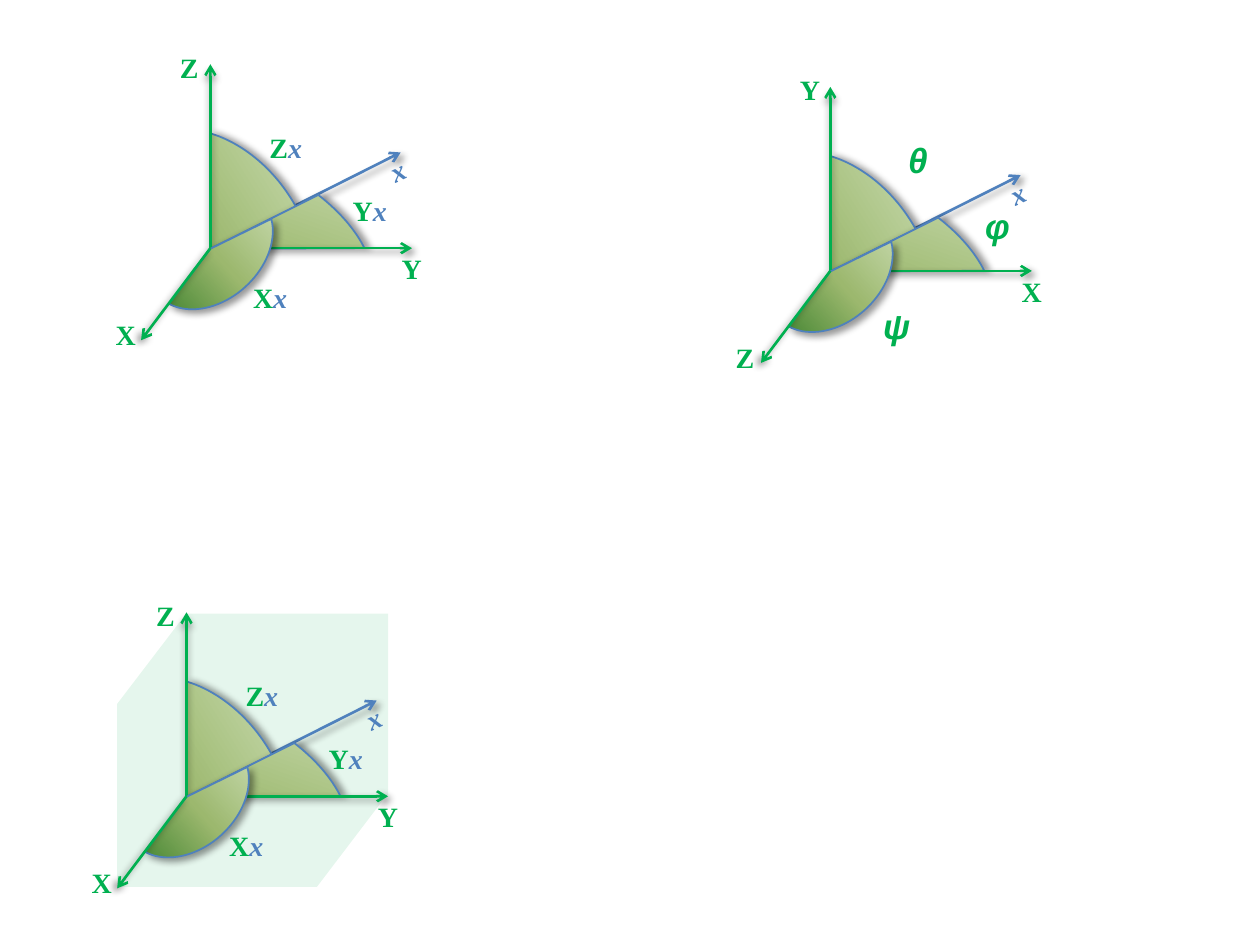
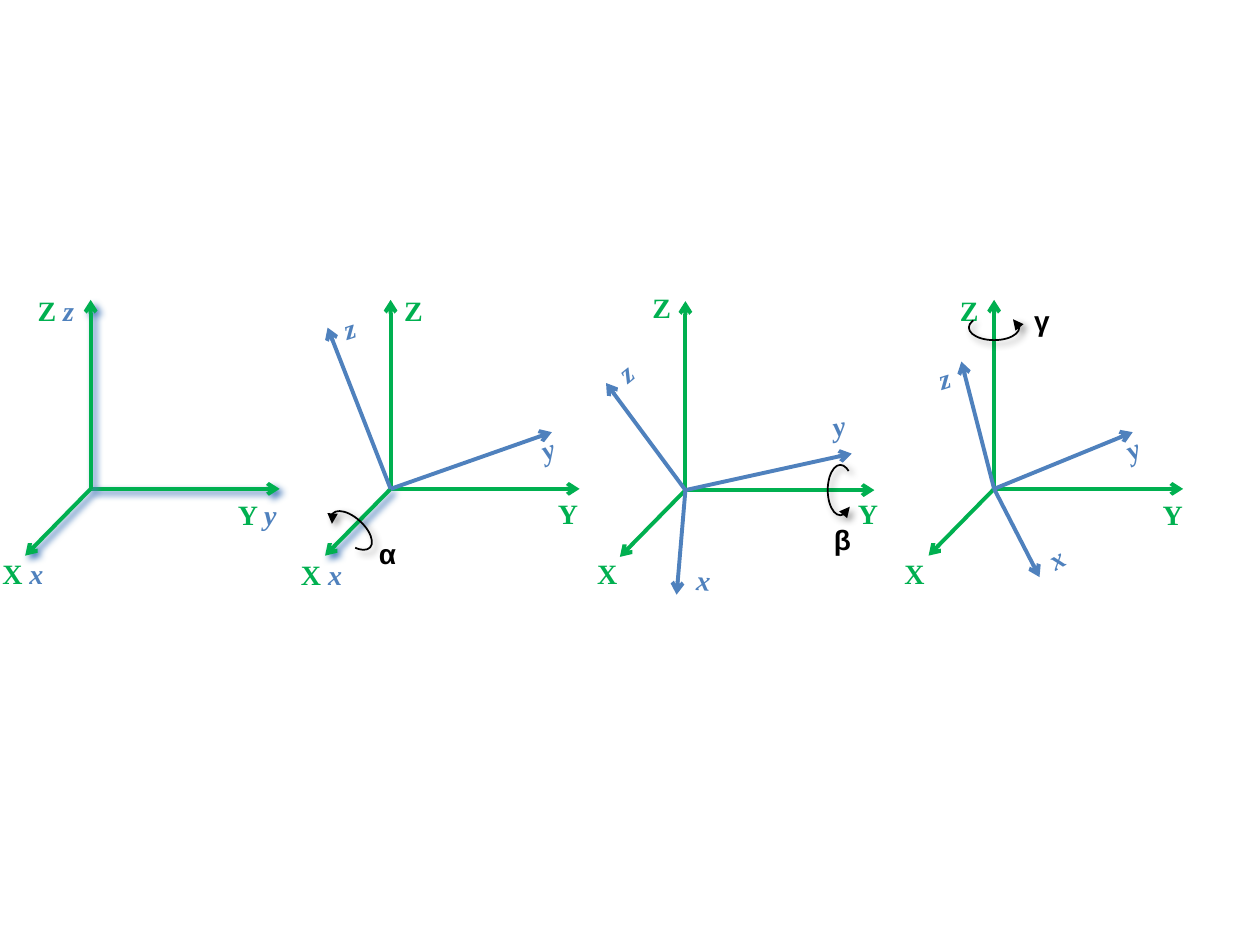
from dataclasses import dataclass
from typing import Optional
import copy

import lxml.etree
import pptx
import pptx.dml.color
import pptx.enum.shapes
import pptx.enum.text
import pptx.oxml.ns
import pptx.shapes.base
import pptx.slide
import pptx.util

PX = 9144  # EMU in one px, 100 px to the inch
RGB = pptx.dml.color.RGBColor
GREEN = RGB(0x00, 0xB0, 0x50)
BLUE = RGB(0x4F, 0x81, 0xBD)
BLACK = RGB(0x00, 0x00, 0x00)
SECTOR_STOPS = (
    (0, RGB(0xDD, 0xEB, 0xCF)),
    (0.5, RGB(0x9C, 0xB8, 0x6E)),
    (1, RGB(0x15, 0x6B, 0x13)),
)
PRESET = pptx.enum.shapes.MSO_SHAPE
qn = pptx.oxml.ns.qn
Point = tuple[int, int]


@dataclass(frozen=True)
class Style:
    font: str
    size: int
    color: RGB
    italic: bool = False


FIXED = Style("Times New Roman", 16, GREEN)
MOVING = Style("Times New Roman", 16, BLUE, True)
ANGLE = Style("Arial", 20, GREEN, True)
TURN = Style("Arial", 16, BLACK)


@dataclass(frozen=True)
class Shadow:
    direction: int
    color: RGB = BLACK
    alpha: int = 40


GLOW = Shadow(45, BLUE, 100)


@dataclass(frozen=True)
class Label:
    left: int
    top: int
    width: int
    spans: tuple[tuple[str, Style], ...]
    rotation: float = 0


@dataclass(frozen=True)
class Outline:
    """A preset shape placed by its unrotated box."""
    preset: PRESET
    left: int
    top: int
    width: int
    height: int
    adjustments: tuple[float, ...]
    rotation: float = 0
    flipped: bool = False


@dataclass(frozen=True)
class Sector:
    outline: Outline
    gradient_angle: int
    shadow: Shadow


@dataclass(frozen=True)
class CosineFrame:
    """Axes with the direction angles of one vector."""
    origin: Point
    axis_names: tuple[str, str, str]  # up, right, towards the viewer
    angle_labels: tuple[Label, ...]
    planes: tuple[Outline, ...] = ()


@dataclass(frozen=True)
class TurnedFrame:
    """Fixed axes and the axes turned away from them."""
    origin: Point
    moving_tips: tuple[Point, ...]
    labels: tuple[Label, ...]
    arc: Optional[Outline] = None
    glowing_axes: tuple[int, ...] = ()


def fixed(left: int, top: int, name: str) -> Label:
    return Label(left, top, 36, ((name, FIXED),))


def moving(left: int, top: int, name: str, rotation: float) -> Label:
    return Label(left, top, 30, ((name, MOVING),), rotation)


def paired(left: int, top: int, width: int, upper: str, lower: str) -> Label:
    return Label(left, top, width, ((upper, FIXED), (lower, MOVING)))


def sign(left: int, top: int, width: int, letter: str, style: Style) -> Label:
    return Label(left, top, width, ((letter, style),))


SECTORS = (
    Sector(Outline(PRESET.PIE, -102, -75, 204, 151, (19.37, 57.55), 237.6),
           90, Shadow(0)),
    Sector(Outline(PRESET.PIE, -79, -134, 158, 269, (26.55, 42.31), 289.2),
           180, Shadow(0)),
)
NEAR_SECTOR = Sector(
    Outline(PRESET.PIE, -41, -55, 82, 111, (171.53, 47.46), 48),
    270, Shadow(45))
PLANES = (
    Outline(PRESET.PARALLELOGRAM, 0, -145, 160, 144, (0,)),
    Outline(PRESET.PARALLELOGRAM, -55, -1, 214, 73, (0.76,)),
    Outline(PRESET.PARALLELOGRAM, -136, -63, 216, 54, (1.31,), 270, True),
)
AXIS_NAME_SPOTS = ((-34, -162), (142, -2), (-85, 50))
NAMED_ANGLES = (
    paired(37, -98, 48, "Z", "x"),
    paired(24, 21, 48, "X", "x"),
    paired(103, -48, 48, "Y", "x"),
)
GREEK_ANGLES = (
    sign(52, -110, 35, "θ", ANGLE),
    sign(113, -58, 35, "φ", ANGLE),
    sign(32, 22, 39, "ψ", ANGLE),
)
COSINE_FRAMES = (
    CosineFrame((148, 632), ("Z", "Y", "X"), NAMED_ANGLES, PLANES),
    CosineFrame((167, 197), ("Z", "Y", "X"), NAMED_ANGLES),
    CosineFrame((659, 215), ("Y", "X", "Z"), GREEK_ANGLES),
)

FIXED_AXES = ((150, 0), (0, -150), (-52, 53))
TURNED_FRAMES = (
    TurnedFrame(
        (72, 388), (),
        (paired(-8, 437, 53, "X ", "x"), paired(20, 228, 49, "Z ", "z"),
         paired(179, 390, 52, "Y ", "y")),
        glowing_axes=(0, 1, 2)),
    TurnedFrame(
        (310, 388), ((260, 260), (438, 343)),
        (fixed(433, 389, "Y"), fixed(311, 228, "Z"),
         paired(229, 438, 53, "X ", "x"), moving(263, 242, "z", 342),
         moving(420, 338, "y", 340), sign(291, 421, 34, "α", TURN)),
        Outline(PRESET.ARC, 259, 411, 40, 20, (93.7, 21.36), 42.5),
        glowing_axes=(2,)),
    TurnedFrame(
        (544, 389), ((676, 360), (481, 304), (537, 472)),
        (fixed(508, 226, "Z"), fixed(671, 389, "Y"), fixed(464, 437, "X"),
         moving(482, 277, "z", 320.6), moving(543, 442, "x", 3.7),
         moving(651, 319, "y", 349.6), sign(652, 410, 32, "β", TURN)),
        Outline(PRESET.ARC, 657, 369, 20, 40, (36.26, 176.03))),
    TurnedFrame(
        (789, 388), ((899, 343), (763, 287), (825, 458)),
        (fixed(752, 228, "Z"), fixed(913, 390, "Y"), fixed(708, 437, "X"),
         moving(884, 338, "y", 335.7), moving(735, 282, "z", 342.5),
         moving(823, 425, "x", 329.9), sign(811, 236, 29, "γ", TURN)),
        Outline(PRESET.ARC, 769, 250, 40, 20, (201.77, 119.34))),
)


def set_shadow(shape: pptx.shapes.base.BaseShape,
               shadow: Optional[Shadow]) -> None:
    """Replace the theme shadow; call after the line has been set."""
    effects = lxml.etree.SubElement(shape.element.spPr, qn("a:effectLst"))
    if shadow is None:
        return
    outer = lxml.etree.SubElement(
        effects, qn("a:outerShdw"), blurRad=str(pptx.util.Pt(4)),
        dist=str(pptx.util.Pt(3)), dir=str(shadow.direction * 60000),
        algn="ctr", rotWithShape="0")
    color = lxml.etree.SubElement(
        outer, qn("a:srgbClr"), val=str(shadow.color))
    lxml.etree.SubElement(color, qn("a:alpha"), val=str(shadow.alpha * 1000))


def set_line(shape: pptx.shapes.base.BaseShape, color: RGB, width: float,
             end: str = "", arrowhead: str = "") -> None:
    shape.line.color.rgb = color
    shape.line.width = pptx.util.Pt(width)
    if end:
        line = shape.element.spPr.find(qn("a:ln"))
        lxml.etree.SubElement(line, qn(f"a:{end}"), type=arrowhead)


def add_arrow(page: pptx.slide.Slide, start: Point, tip: Point, color: RGB,
              width: float, shadow: Optional[Shadow] = None) -> None:
    arrow = page.shapes.add_connector(
        pptx.enum.shapes.MSO_CONNECTOR.STRAIGHT,
        *(value * PX for value in start + tip))
    set_line(arrow, color, width, "tailEnd", "arrow")
    set_shadow(arrow, shadow)


def add_label(page: pptx.slide.Slide, label: Label,
              origin: Point = (0, 0)) -> None:
    height = 44 if label.spans[0][1].size == 20 else 37
    box = page.shapes.add_textbox(
        (origin[0] + label.left) * PX, (origin[1] + label.top) * PX,
        label.width * PX, height * PX)
    box.rotation = label.rotation
    box.text_frame.word_wrap = False
    box.text_frame.auto_size = pptx.enum.text.MSO_AUTO_SIZE.SHAPE_TO_FIT_TEXT
    para = box.text_frame.paragraphs[0]
    for text, style in label.spans:
        span = para.add_run()
        span.text = text
        span.font.name = style.font
        span.font.size = pptx.util.Pt(style.size)
        span.font.bold = True
        span.font.italic = style.italic
        span.font.color.rgb = style.color


def add_outline(page: pptx.slide.Slide, outline: Outline,
                origin: Point = (0, 0)) -> pptx.shapes.base.BaseShape:
    shape = page.shapes.add_shape(
        outline.preset, (origin[0] + outline.left) * PX,
        (origin[1] + outline.top) * PX,
        outline.width * PX, outline.height * PX)
    for index, value in enumerate(outline.adjustments):
        shape.adjustments[index] = value
    shape.rotation = outline.rotation
    if outline.flipped:
        shape.element.spPr.xfrm.set("flipH", "1")
    return shape


def add_plane(page: pptx.slide.Slide, plane: Outline, origin: Point) -> None:
    shape = add_outline(page, plane, origin)
    shape.fill.solid()
    shape.fill.fore_color.rgb = GREEN
    color = shape.element.spPr.find(qn("a:solidFill"))[0]
    lxml.etree.SubElement(color, qn("a:alpha"), val="10000")
    shape.line.fill.background()
    set_shadow(shape, None)


def add_sector(page: pptx.slide.Slide, sector: Sector, origin: Point) -> None:
    shape = add_outline(page, sector.outline, origin)
    shape.fill.gradient()
    stops = shape.element.spPr.find(qn("a:gradFill")).find(qn("a:gsLst"))
    stops.append(copy.deepcopy(stops[0]))
    for stop, (position, color) in zip(shape.fill.gradient_stops,
                                       SECTOR_STOPS):
        stop.position = position
        stop.color.rgb = color
    shape.fill.gradient_angle = sector.gradient_angle
    set_line(shape, BLUE, 1)
    set_shadow(shape, sector.shadow)


def add_turn_arc(page: pptx.slide.Slide, arc: Outline) -> None:
    shape = add_outline(page, arc)
    shape.fill.background()
    set_line(shape, BLACK, 1, "headEnd", "triangle")
    set_shadow(shape, Shadow(45))


def draw_cosine_frame(page: pptx.slide.Slide, frame: CosineFrame) -> None:
    x, y = frame.origin
    for plane in frame.planes:
        add_plane(page, plane, frame.origin)
    add_arrow(page, (x, y), (x + 151, y - 76), BLUE, 1.5, Shadow(45))
    for sector in SECTORS:
        add_sector(page, sector, frame.origin)
    add_arrow(page, (x, y), (x + 160, y), GREEN, 1.5, Shadow(45))
    add_arrow(page, (x, y), (x, y - 146), GREEN, 1.5, Shadow(90))
    for name, spot in zip(frame.axis_names, AXIS_NAME_SPOTS):
        add_label(page, fixed(*spot, name), frame.origin)
    add_label(page, moving(133, -80, "x", 334.7), frame.origin)
    for label in frame.angle_labels:
        add_label(page, label, frame.origin)
    add_sector(page, NEAR_SECTOR, frame.origin)
    add_arrow(page, (x, y), (x - 55, y + 73), GREEN, 1.5, Shadow(135))


def draw_turned_frame(page: pptx.slide.Slide, frame: TurnedFrame) -> None:
    x, y = frame.origin
    for index, (across, down) in enumerate(FIXED_AXES):
        shadow = GLOW if index in frame.glowing_axes else None
        add_arrow(page, (x, y), (x + across, y + down), GREEN, 2.25, shadow)
    for tip in frame.moving_tips:
        add_arrow(page, (x, y), tip, BLUE, 2.25)
    for label in frame.labels:
        add_label(page, label)
    if frame.arc:
        add_turn_arc(page, frame.arc)


def main() -> None:
    deck = pptx.Presentation()
    deck.slide_width, deck.slide_height = 1000 * PX, 750 * PX
    blank = deck.slide_layouts[6]
    cosine_page = deck.slides.add_slide(blank)
    for frame in COSINE_FRAMES:
        draw_cosine_frame(cosine_page, frame)
    turned_page = deck.slides.add_slide(blank)
    for frame in TURNED_FRAMES:
        draw_turned_frame(turned_page, frame)
    deck.save("out.pptx")


if __name__ == "__main__":
    main()
